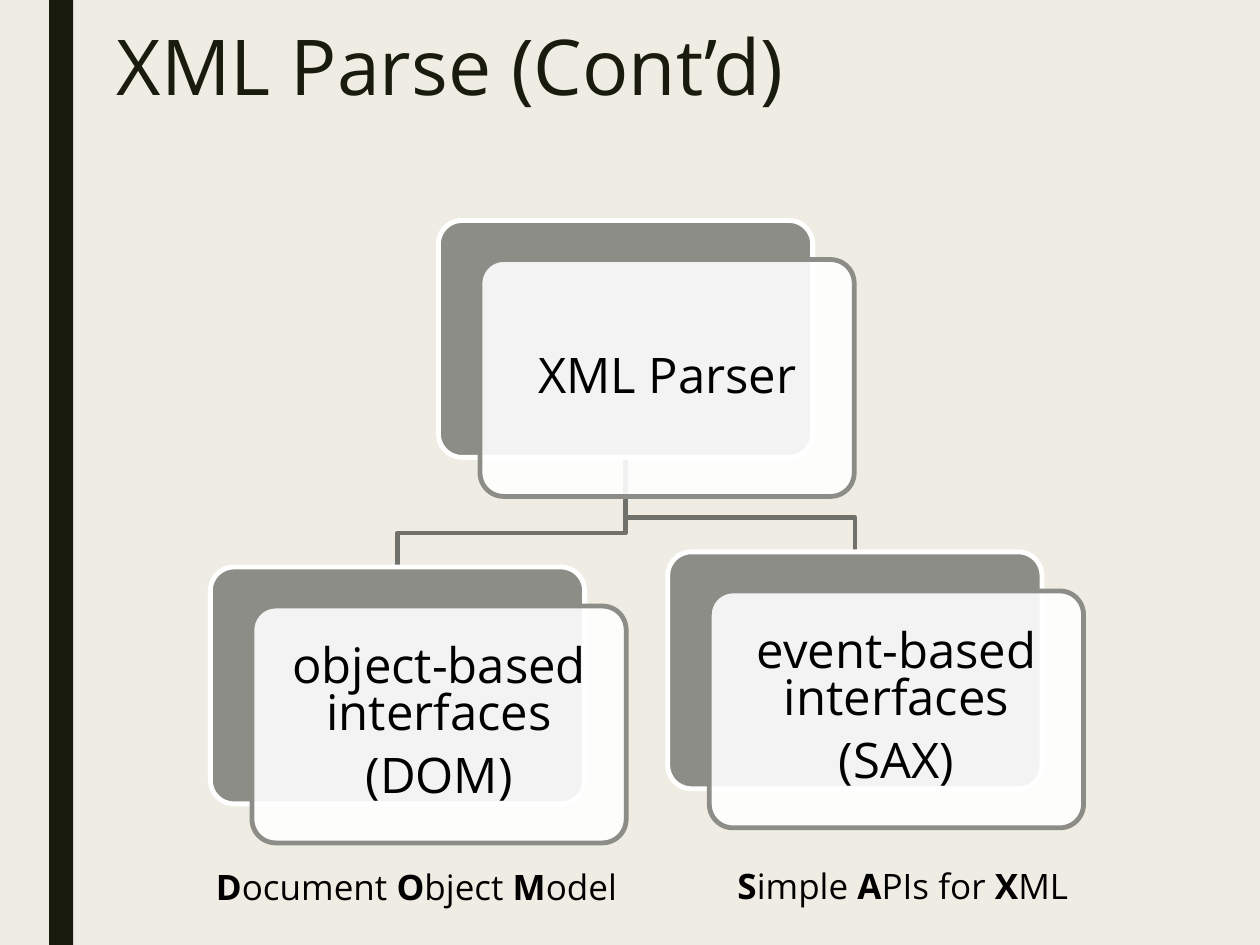
from dataclasses import dataclass

from lxml.etree import SubElement
from pptx import Presentation
from pptx.dml.color import RGBColor
from pptx.enum.shapes import MSO_SHAPE as Shape
from pptx.enum.text import MSO_ANCHOR as Anchor, PP_ALIGN as Align
from pptx.oxml.ns import qn
from pptx.util import Inches, Pt

# Square grid: 100 columns by 75 rows
COLUMNS, ROWS = 100, 75
CELL = Inches(0.1)

CREAM = RGBColor(0xEF, 0xED, 0xE3)
INK = RGBColor(0x19, 0x1B, 0x0E)
GREY = RGBColor(0x8C, 0x8D, 0x86)
BRANCH_GREY = RGBColor(0x70, 0x71, 0x6B)
WHITE = RGBColor(0xFF, 0xFF, 0xFF)
BLACK = RGBColor(0x00, 0x00, 0x00)

FONT = "Open Sans"
LINE_WIDTH = Pt(2.75)
CARD_WIDTH, CARD_HEIGHT = 29.7, 18.8
FRONT_RIGHT, FRONT_DOWN = 3.3, 3.1  # shift of the front card
BEND = 2.7  # height of a branch's bend above its child


@dataclass(frozen=True)
class Node:
    column: float
    row: float
    lines: tuple[str, ...]
    spacing: float

    @property
    def middle(self) -> float:
        return self.column + CARD_WIDTH / 2


@dataclass(frozen=True)
class Caption:
    column: float
    row: float
    words: tuple[str, ...]  # the first letter of each is bold if capital


PARSER = Node(34.8, 17.5, ("XML Parser",), 0.9)
INTERFACES = (
    Node(53, 43.8, ("event-based interfaces", "(SAX)"), 0.8),
    Node(16.7, 45, ("object-based interfaces", "(DOM)"), 0.8),
)
CAPTIONS = (
    Caption(54.7, 68.1, ("Simple ", "APIs for ", "XML")),
    Caption(16.1, 68.2, ("Document ", "Object ", "Model")),
)


def grid(*cells: float) -> list[int]:
    return [round(cell * CELL) for cell in cells]


def style_font(paragraph, size: float, color: RGBColor) -> None:
    paragraph.font.name = FONT
    paragraph.font.size = Pt(size)
    paragraph.font.color.rgb = color


def add_text(slide, column: float, row: float, width: float, height: float):
    frame = slide.shapes.add_textbox(*grid(column, row, width, height)).text_frame
    frame.word_wrap = True
    return frame.paragraphs[0]


def draw_branch(slide, parent: Node, child: Node) -> None:
    bend_row = child.row - BEND
    start = grid(parent.middle, parent.row + CARD_HEIGHT)
    corners = ((parent.middle, bend_row), (child.middle, bend_row),
               (child.middle, child.row))
    builder = slide.shapes.build_freeform(*start)
    builder.add_line_segments([grid(*corner) for corner in corners], close=False)
    branch = builder.convert_to_shape()
    branch.shadow.inherit = False
    branch.fill.background()
    branch.line.color.rgb = BRANCH_GREY
    branch.line.width = LINE_WIDTH


def draw_card(slide, column: float, row: float, fill: RGBColor, line: RGBColor):
    card = slide.shapes.add_shape(
        Shape.ROUNDED_RECTANGLE, *grid(column, row, CARD_WIDTH, CARD_HEIGHT))
    card.adjustments[0] = 0.1
    card.shadow.inherit = False
    card.fill.solid()
    card.fill.fore_color.rgb = fill
    card.line.color.rgb = line
    card.line.width = LINE_WIDTH
    return card


def draw_node(slide, node: Node) -> None:
    draw_card(slide, node.column, node.row, GREY, WHITE)
    front = draw_card(slide, node.column + FRONT_RIGHT, node.row + FRONT_DOWN,
                      WHITE, GREY)
    # Front card is 90% opaque
    front_color = front.fill._xPr.find(qn("a:solidFill"))[0]
    SubElement(front_color, qn("a:alpha"), val="90000")

    frame = front.text_frame
    frame.word_wrap = True
    frame.vertical_anchor = Anchor.MIDDLE
    frame.margin_left = frame.margin_right = Inches(0.12)
    frame.margin_top = frame.margin_bottom = Inches(0.12)
    for index, line in enumerate(node.lines):
        paragraph = frame.add_paragraph() if index else frame.paragraphs[0]
        paragraph.text = line
        paragraph.alignment = Align.CENTER
        paragraph.line_spacing = node.spacing
        paragraph.space_after = Pt(9)
        style_font(paragraph, 28, BLACK)


def draw_caption(slide, caption: Caption) -> None:
    paragraph = add_text(slide, caption.column, caption.row, 33.9, 4.4)
    paragraph.alignment = Align.CENTER
    style_font(paragraph, 20, BLACK)
    for word in caption.words:
        for part, bold in ((word[0], True), (word[1:], False)):
            run = paragraph.add_run()
            run.text = part
            run.font.bold = bold


def main() -> None:
    deck = Presentation()
    deck.slide_width, deck.slide_height = grid(COLUMNS, ROWS)
    slide = deck.slides.add_slide(deck.slide_layouts[6])
    slide.background.fill.solid()
    slide.background.fill.fore_color.rgb = CREAM

    # Side bar
    bar = slide.shapes.add_shape(Shape.RECTANGLE, *grid(3.9, 0, 1.9, ROWS))
    bar.shadow.inherit = False
    bar.fill.solid()
    bar.fill.fore_color.rgb = INK
    bar.line.fill.background()

    # Title
    title = add_text(slide, 8.3, 2.1, 78.8, 16.2)
    title.text = "XML Parse (Cont’d)"
    title.line_spacing = 0.85
    style_font(title, 44, INK)

    # Parser tree, branches behind the cards
    for interface in INTERFACES:
        draw_branch(slide, PARSER, interface)
    for node in (PARSER, *reversed(INTERFACES)):
        draw_node(slide, node)

    # Full names below the interfaces
    for caption in CAPTIONS:
        draw_caption(slide, caption)

    deck.save("out.pptx")


if __name__ == "__main__":
    main()
